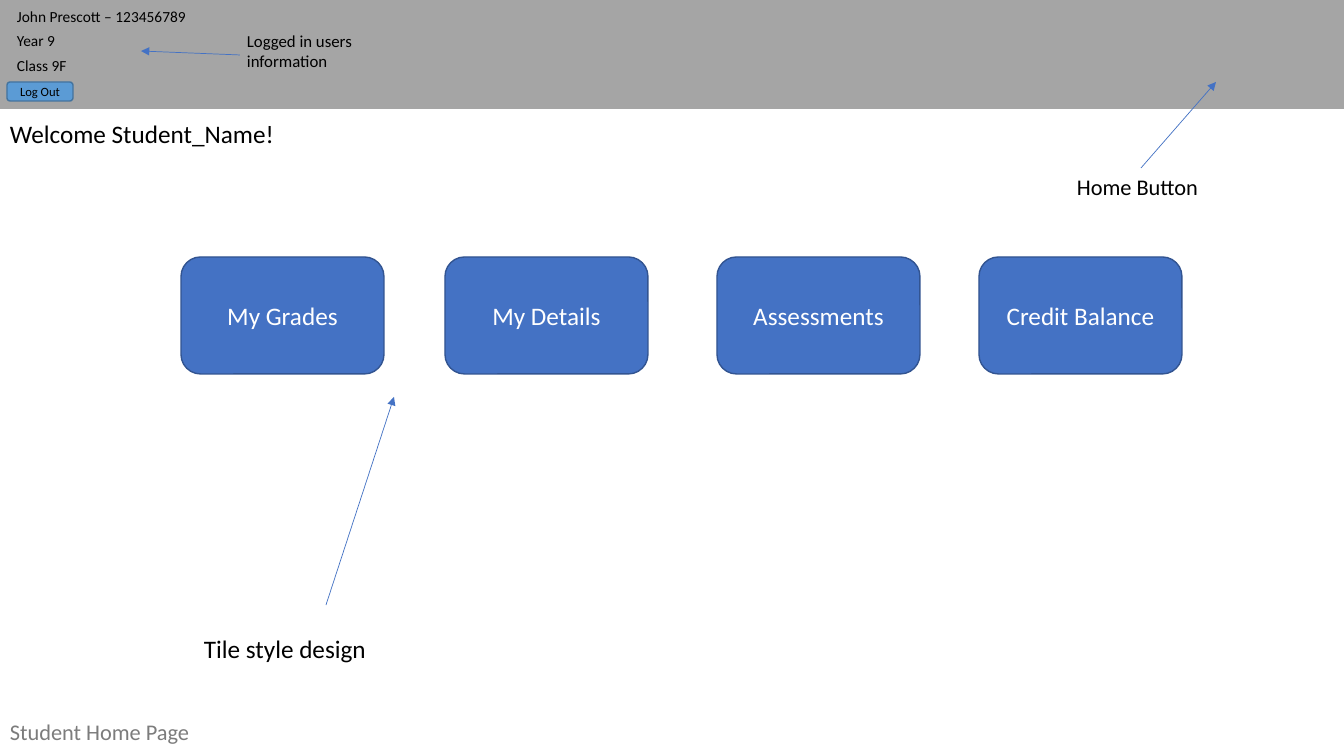
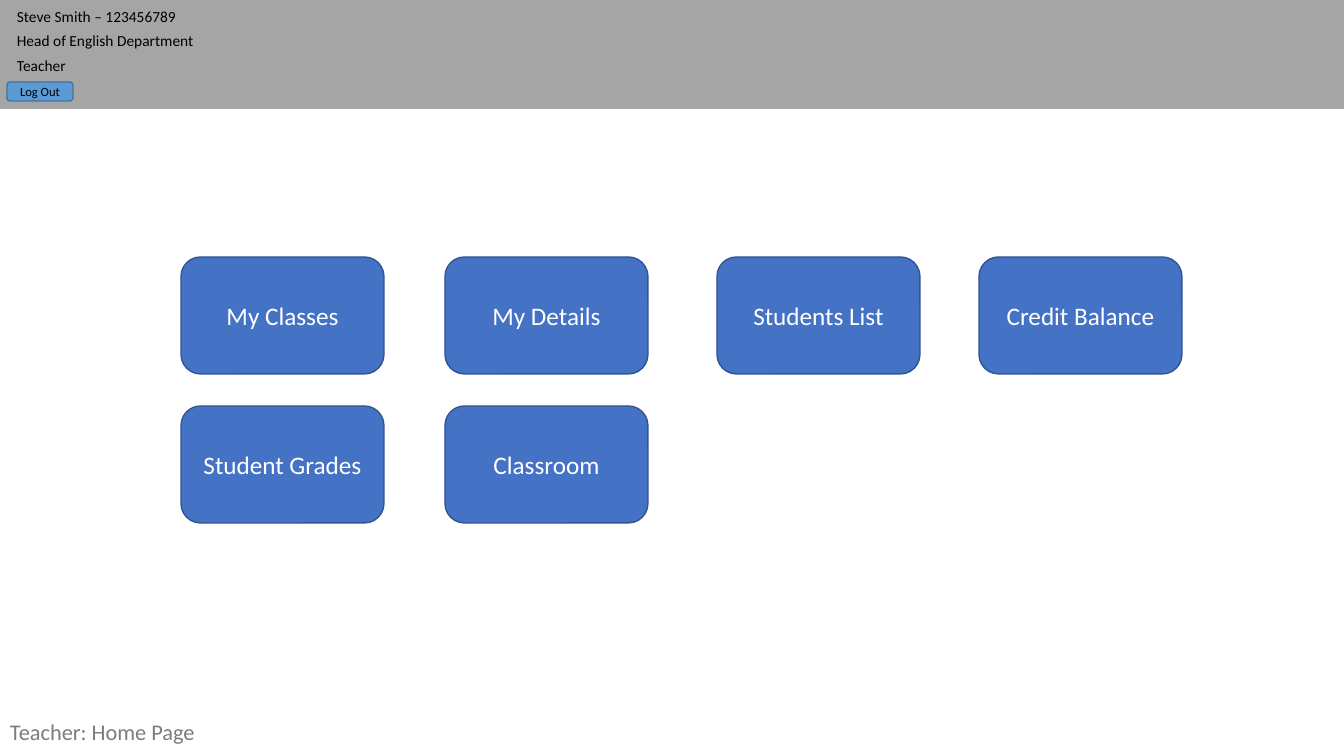
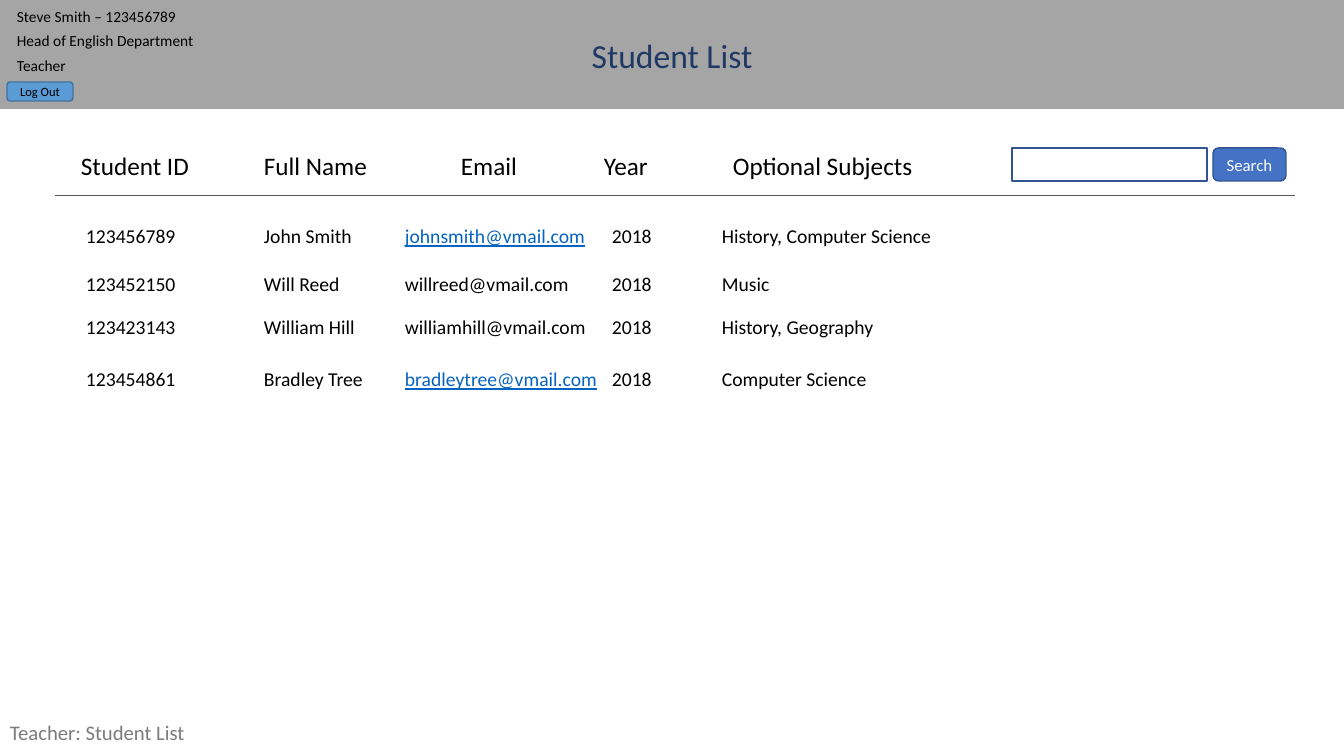
from typing import NamedTuple

from lxml import etree
from pptx import Presentation
from pptx.dml.color import RGBColor
from pptx.enum.shapes import MSO_CONNECTOR, MSO_SHAPE
from pptx.enum.text import MSO_ANCHOR, PP_ALIGN
from pptx.oxml.ns import qn
from pptx.util import Emu, Pt

RECT, ROUND = MSO_SHAPE.RECTANGLE, MSO_SHAPE.ROUNDED_RECTANGLE
STRAIGHT = MSO_CONNECTOR.STRAIGHT
LEFT, CENTER = PP_ALIGN.LEFT, PP_ALIGN.CENTER
TOP, MIDDLE = MSO_ANCHOR.TOP, MSO_ANCHOR.MIDDLE

FONT = "Calibri"
BLACK = RGBColor(0x00, 0x00, 0x00)
WHITE = RGBColor(0xFF, 0xFF, 0xFF)
GREY = RGBColor(0x7C, 0x7C, 0x7C)
BAND = RGBColor(0xA5, 0xA5, 0xA5)
BLUE = RGBColor(0x44, 0x72, 0xC4)
EDGE = RGBColor(0x32, 0x54, 0x91)
SKY = RGBColor(0x5B, 0x9B, 0xD5)
SKY_EDGE = RGBColor(0x43, 0x73, 0x9E)
NAVY = RGBColor(0x20, 0x38, 0x64)
LINK = RGBColor(0x05, 0x63, 0xC1)
RULE = RGBColor(0x59, 0x59, 0x59)

WIDE, HIGH = 1344, 756
TILE_X = (181, 445, 717, 979)
TILE_Y, TILE_STEP, TILE_W, TILE_H = 257, 149, 203, 117


class Box(NamedTuple):
    x: int
    y: int
    w: int
    h: int


class Column(NamedTuple):
    head: str
    width: int
    head_pad: int
    pad: int


class Student(NamedTuple):
    number: str
    name: str
    mail: str
    year: str
    topics: str
    height: int
    linked: bool


COLUMNS = (
    Column("Student ID", 183, 10, 15),
    Column("Full Name", 141, 10, 10),
    Column("Email", 205, 66, 10),
    Column("Year", 112, 4, 12),
    Column("Optional Subjects", 290, 21, 10),
)
HEAD_H = 73
MAIL_COL = 2
STUDENTS = (
    Student("123456789", "John Smith", "johnsmith@vmail.com", "2018",
            "History, Computer Science", 48, True),
    Student("123452150", "Will Reed", "willreed@vmail.com", "2018",
            "Music", 43, False),
    Student("123423143", "William Hill", "williamhill@vmail.com", "2018",
            "History, Geography", 52, False),
    Student("123454861", "Bradley Tree", "bradleytree@vmail.com", "2018",
            "Computer Science", 40, True),
)
PUPIL = ("John Prescott – 123456789", "Year 9", "Class 9F")
TEACHER = ("Steve Smith – 123456789", "Head of English Department", "Teacher")


def px(n: int) -> Emu:
    return Emu(round(n * 12192000 / WIDE))


def style(frame, text: str, size: float, color: RGBColor, align=LEFT) -> None:
    frame.text = text
    para = frame.paragraphs[0]
    para.alignment = align
    for run in para.runs:
        run.font.name = FONT
        run.font.size = Pt(size)
        run.font.color.rgb = color


def add_text(slide, box: Box, text: str, size: float, color=BLACK,
             align=LEFT, anchor=TOP):
    shape = slide.shapes.add_textbox(*map(px, box))
    frame = shape.text_frame
    frame.word_wrap = True
    frame.vertical_anchor = anchor
    style(frame, text, size, color, align)
    return shape


def add_box(slide, kind, box: Box, fill=None, edge=None, text="",
            size=18, color=WHITE) -> None:
    shape = slide.shapes.add_shape(kind, *map(px, box))
    shape.shadow.inherit = False
    if fill is None:
        shape.fill.background()
    else:
        shape.fill.solid()
        shape.fill.fore_color.rgb = fill
    if edge is None:
        shape.line.fill.background()
    else:
        shape.line.color.rgb = edge
        shape.line.width = Pt(1)
    if text:
        frame = shape.text_frame
        frame.margin_left = frame.margin_right = 0
        frame.margin_top = frame.margin_bottom = 0
        frame.vertical_anchor = MIDDLE
        style(frame, text, size, color, CENTER)


def add_line(slide, x1: int, y1: int, x2: int, y2: int, color=BLUE, head=True):
    line = slide.shapes.add_connector(STRAIGHT, px(x1), px(y1), px(x2), px(y2))
    line.line.color.rgb = color
    line.line.width = Pt(0.5)
    props = line.element.find(qn("p:spPr"))
    if head:
        etree.SubElement(props.find(qn("a:ln")), qn("a:tailEnd"), type="triangle")
    etree.SubElement(props, qn("a:effectLst"))
    return line


def add_page(deck, user: tuple[str, ...], foot: str, foot_size=16.0):
    """Blank slide with the user band and the page name."""
    slide = deck.slides.add_slide(deck.slide_layouts[6])
    add_box(slide, RECT, Box(0, 0, WIDE, 109), BAND)
    for text, y in zip(user, (2, 26, 51)):
        add_text(slide, Box(7, y, 259, 29), text, 11)
    add_box(slide, ROUND, Box(7, 82, 66, 19), SKY, SKY_EDGE, "Log Out", 9, BLACK)
    name = add_text(slide, Box(0, 711, 206, 45), foot, foot_size, GREY,
                    anchor=MIDDLE)
    name.text_frame.margin_right = 0
    name.text_frame.paragraphs[0].line_spacing = 0.9
    return slide


def add_tiles(slide, labels: tuple[str, ...]) -> None:
    for i, label in enumerate(labels):
        row, col = divmod(i, len(TILE_X))
        box = Box(TILE_X[col], TILE_Y + row * TILE_STEP, TILE_W, TILE_H)
        add_box(slide, ROUND, box, BLUE, EDGE, label)


def add_roster(slide) -> None:
    heights = [HEAD_H] + [s.height for s in STUDENTS]
    box = Box(71, 147, sum(c.width for c in COLUMNS), sum(heights))
    table = slide.shapes.add_table(len(heights), len(COLUMNS), *map(px, box)).table
    table.first_row = table.horz_banding = False
    for row, height in zip(table.rows, heights):
        row.height = px(height)
    for c, col in enumerate(COLUMNS):
        table.columns[c].width = px(col.width)
        for r in range(len(heights)):
            cell = table.cell(r, c)
            cell.fill.background()
            cell.margin_left = px(col.pad if r else col.head_pad)
            cell.margin_right = 0
            cell.margin_top = cell.margin_bottom = px(5)
            if r == 0:
                style(cell.text_frame, col.head, 18, BLACK)
                continue
            student = STUDENTS[r - 1]
            link = c == MAIL_COL and student.linked
            style(cell.text_frame, student[c], 14, LINK if link else BLACK)
            if link:
                cell.text_frame.paragraphs[0].runs[0].font.underline = True


def student_home(deck) -> None:
    slide = add_page(deck, PUPIL, "Student Home Page")
    add_text(slide, Box(0, 113, 302, 40), "Welcome Student_Name!", 18)
    add_tiles(slide, ("My Grades", "My Details", "Assessments", "Credit Balance"))
    # Notes on the design
    add_text(slide, Box(194, 628, 191, 40), "Tile style design", 18)
    add_line(slide, 326, 605, 394, 397)
    home = add_text(slide, Box(1067, 168, 148, 37), "Home Button", 16)
    add_line(slide, 1141, 168, 1216, 82).begin_connect(home, 0)
    add_text(slide, Box(237, 26, 173, 50), "Logged in users information", 12)
    add_line(slide, 240, 55, 141, 51)


def teacher_home(deck) -> None:
    slide = add_page(deck, TEACHER, "Teacher: Home Page")
    add_tiles(slide, ("My Classes", "My Details", "Students List",
                      "Credit Balance", "Student Grades", "Classroom"))


def student_list(deck) -> None:
    slide = add_page(deck, TEACHER, "Teacher: Student List", 14.8)
    add_text(slide, Box(0, 30, WIDE, 50), "Student List", 24, NAVY, CENTER)
    add_roster(slide)
    add_line(slide, 55, 195, 1295, 195, RULE, head=False)
    # Search
    add_box(slide, RECT, Box(1012, 148, 195, 33), edge=EDGE)
    add_box(slide, ROUND, Box(1213, 148, 73, 33), BLUE, EDGE, "Search", 12)


def main() -> None:
    deck = Presentation()
    deck.slide_width, deck.slide_height = px(WIDE), px(HIGH)
    student_home(deck)
    teacher_home(deck)
    student_list(deck)
    deck.save("out.pptx")


if __name__ == "__main__":
    main()
